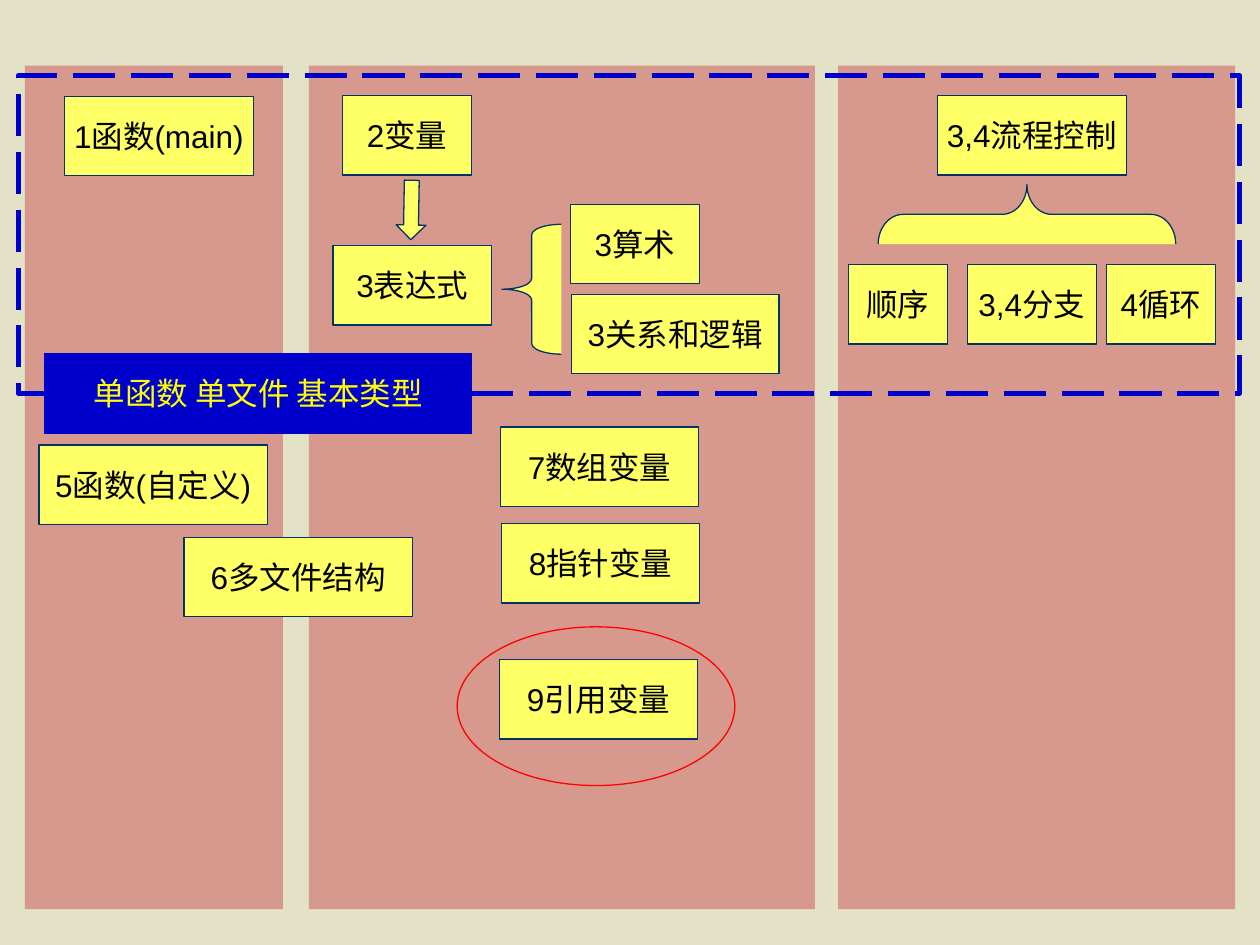
"""Build a course map of C++ topics in three columns: functions, data and control flow."""
import pptx
import pptx.dml.color
import pptx.enum.dml
import pptx.enum.shapes
import pptx.enum.text
import pptx.util

Pt = pptx.util.Pt
SHAPE = pptx.enum.shapes.MSO_SHAPE
rgb = pptx.dml.color.RGBColor.from_string

YELLOW, NAVY, BLUE = "FFFF66", "003366", "0000CC"
TOPIC_HEIGHT = 45.4


def add_part(kind, left, top, width, height, fill=None, line=None, weight=0.75):
    part = slide.shapes.add_shape(kind, Pt(left), Pt(top), Pt(width), Pt(height))
    part.shadow.inherit = False
    if fill:
        part.fill.solid()
        part.fill.fore_color.rgb = rgb(fill)
    else:
        part.fill.background()
    if line:
        part.line.color.rgb = rgb(line)
        part.line.width = Pt(weight)
    else:
        part.line.fill.background()
    return part


def write(part, text, size=18, color="000000", font="Arial"):
    frame = part.text_frame
    frame.word_wrap = False
    frame.vertical_anchor = pptx.enum.text.MSO_ANCHOR.MIDDLE
    paragraph = frame.paragraphs[0]
    paragraph.alignment = pptx.enum.text.PP_ALIGN.CENTER
    run = paragraph.add_run()
    run.text = text
    run.font.size = Pt(size)
    run.font.name = font
    run.font.color.rgb = rgb(color)


presentation = pptx.Presentation()
presentation.slide_width = Pt(720)
presentation.slide_height = Pt(540)
slide = presentation.slides.add_slide(presentation.slide_layouts[6])
slide.background.fill.solid()
slide.background.fill.fore_color.rgb = rgb("E3E2C7")

for left, width in [(14.2, 147.5), (176.5, 289.2), (479, 226.8)]:
    add_part(SHAPE.RECTANGLE, left, 37.5, width, 482, fill="D7998D")

basics_frame = add_part(SHAPE.RECTANGLE, 10.5, 43.1, 697.7, 181.7, line=BLUE, weight=3)
basics_frame.line.dash_style = pptx.enum.dml.MSO_LINE.LONG_DASH

variable_to_expression = add_part(SHAPE.RIGHT_ARROW, 218, 111.5, 34, 17, YELLOW, NAVY)
variable_to_expression.rotation = 91
variable_to_expression.adjustments[1] = 0.496

expression_brace = add_part(SHAPE.LEFT_BRACE, 286.8, 128.2, 34, 74.2, YELLOW, NAVY)
expression_brace.adjustments[0] = 0.18
control_brace = add_part(SHAPE.LEFT_BRACE, 569.8, 37.5, 34, 170, YELLOW, NAVY)
control_brace.adjustments[0] = 0.417
control_brace.rotation = 90

topics = [
    ("1函数(main)", 36.9, 55.1, 107.8),
    ("2变量", 195.9, 54.6, 73.6),
    ("3表达式", 190.2, 140.3, 90.8),
    ("3算术", 326, 116.8, 73.7),
    ("3关系和逻辑", 326.4, 168.2, 118.8),
    ("3,4流程控制", 535.7, 54.6, 108),
    ("顺序", 484.8, 151.2, 56.7),
    ("3,4分支", 552.8, 151.2, 73.7),
    ("4循环", 632.2, 151.2, 62.4),
    ("5函数(自定义)", 22.3, 254.3, 130.5),
    ("6多文件结构", 105.1, 307.1, 130.5),
    ("7数组变量", 286, 244.1, 113.2),
    ("8指针变量", 286.6, 299.2, 113.2),
    ("9引用变量", 285.5, 376.9, 113.2),
]
for text, left, top, width in topics:
    write(add_part(SHAPE.RECTANGLE, left, top, width, TOPIC_HEIGHT, YELLOW, NAVY), text)

basics_banner = add_part(SHAPE.RECTANGLE, 25.5, 202, 244, TOPIC_HEIGHT, BLUE, BLUE)
write(basics_banner, "单函数 单文件 基本类型", color="FFFF00")

add_part(SHAPE.OVAL, 261.2, 358.2, 158.7, 90.7, line="FF0000")

presentation.save("out.pptx")
